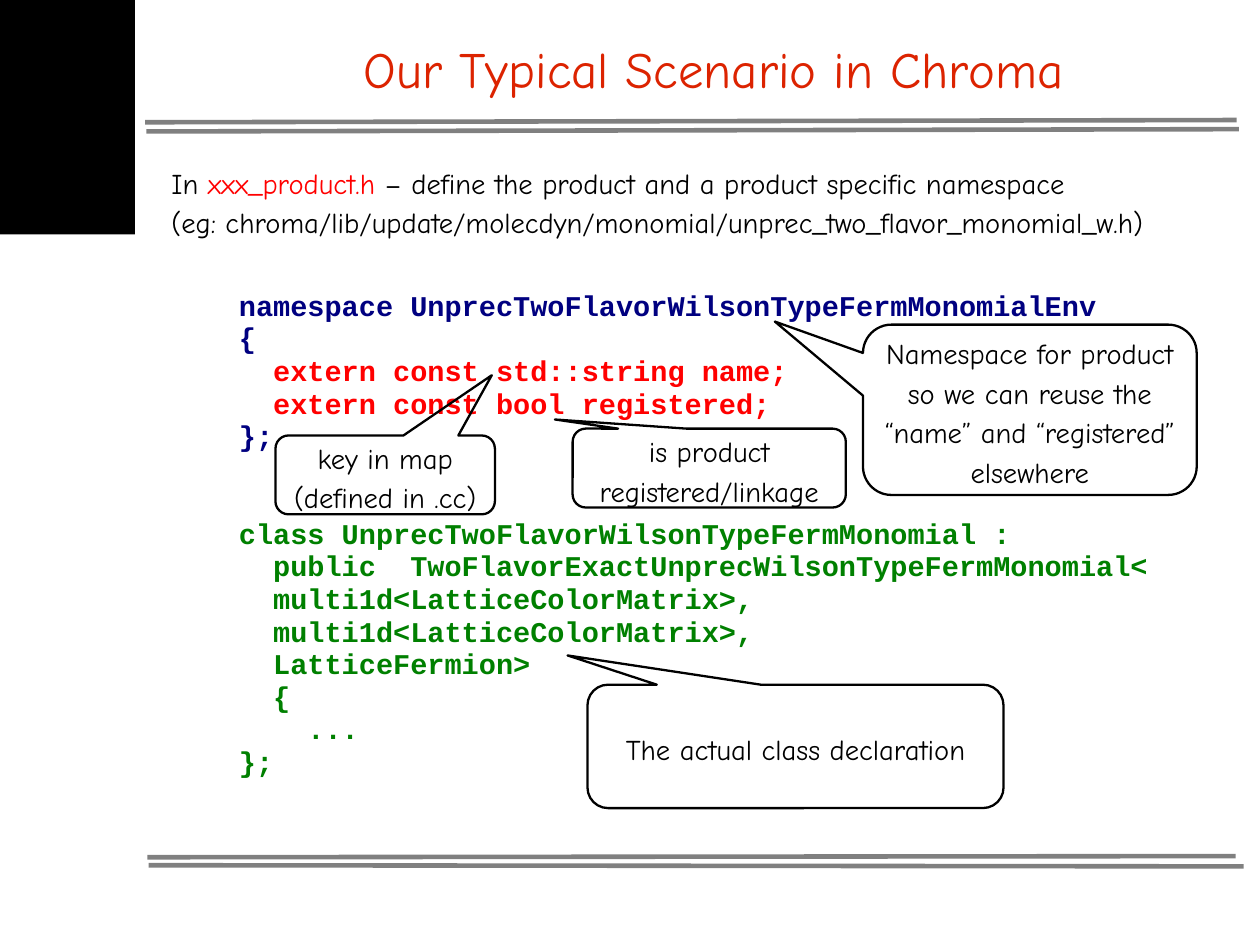
from lxml import etree
from pptx import Presentation
from pptx import util as u
from pptx.dml.color import RGBColor
from pptx.enum import shapes, text
from pptx.oxml import ns

BLACK = RGBColor(0x00, 0x00, 0x00)
GRAY = RGBColor(0x80, 0x80, 0x80)
TITLE_RED = RGBColor(0xDC, 0x23, 0x00)
RED = RGBColor(0xFF, 0x00, 0x00)
NAVY = RGBColor(0x00, 0x00, 0x80)
GREEN = RGBColor(0x00, 0x80, 0x00)

COMIC, MONO = "Comic Neue", "Courier New"
CHAR_WIDTH = 0.15  # one 18 pt monospaced character
CM_PER_INCH = 2.54


class Deck:
    """Holds the shared style and the current slide."""
    body_size = 18
    comic_spacing, code_spacing = 1.16, 0.95
    insets = (0.11, 0.06)

    def __init__(self, prs):
        self.s = prs.slides.add_slide(prs.slide_layouts[6])

    def rule(self, x1, y1, x2, y2):
        line = self.s.shapes.add_connector(
            shapes.MSO_CONNECTOR.STRAIGHT, *map(u.Inches, (x1, y1, x2, y2)))
        line.line.color.rgb = GRAY
        line.line.width = u.Pt(2.89)
        etree.SubElement(line._element.spPr, ns.qn("a:effectLst"))

    def block(self, x, y, w, h, color):
        sp = self.s.shapes.add_shape(
            shapes.MSO_SHAPE.RECTANGLE, *map(u.Inches, (x, y, w, h)))
        sp.shadow.inherit = False
        sp.fill.solid()
        sp.fill.fore_color.rgb = color
        sp.line.fill.background()

    def frame(self, sp, insets, anchor, wrap=True):
        tf = sp.text_frame
        tf.word_wrap = wrap
        tf.vertical_anchor = anchor
        tf.margin_left = tf.margin_right = u.Inches(insets[0])
        tf.margin_top = tf.margin_bottom = u.Inches(insets[1])
        return tf

    def textbox(self, x, y, w, h, insets=insets,
                anchor=text.MSO_ANCHOR.TOP):
        sp = self.s.shapes.add_textbox(*map(u.Inches, (x, y, w, h)))
        return self.frame(sp, insets, anchor)

    def paragraph(self, tf, runs, font=COMIC, size=body_size, bold=False,
                  spacing=comic_spacing, align=text.PP_ALIGN.LEFT):
        p = tf.paragraphs[0]
        if p.runs:
            p = tf.add_paragraph()
        p.alignment = align
        p.line_spacing = spacing
        for words, color in runs:
            r = p.add_run()
            r.text = words
            r.font.name = font
            r.font.size = u.Pt(size)
            r.font.bold = bold
            r.font.color.rgb = color
        return p

    def code(self, tf, depth, words, color, gap=0):
        p = self.paragraph(tf, [(words, color)], MONO, bold=True,
                           spacing=self.code_spacing)
        p.space_before = u.Pt(gap)
        pPr = p._p.get_or_add_pPr()
        pPr.set("marL", str(u.Inches(2 * depth * CHAR_WIDTH)))
        pPr.set("indent", "0")

    def callout(self, x, y, w, h, tip, lines):
        sp = self.s.shapes.add_shape(
            shapes.MSO_SHAPE.ROUNDED_RECTANGULAR_CALLOUT,
            *map(u.Inches, (x, y, w, h)))
        sp.shadow.inherit = False
        sp.fill.background()
        sp.line.color.rgb = BLACK
        sp.line.width = u.Pt(1.45)
        for i, value in enumerate((*tip, 0.167)):
            sp.adjustments[i] = value
        tf = self.frame(sp, self.insets, text.MSO_ANCHOR.MIDDLE, wrap=False)
        for words in lines:
            self.paragraph(tf, [(words, BLACK)], align=text.PP_ALIGN.CENTER)


def main():
    # Slide of 28 by 21 cm
    prs = Presentation()
    prs.slide_width = u.Inches(28 / CM_PER_INCH)
    prs.slide_height = u.Inches(21 / CM_PER_INCH)
    deck = Deck(prs)

    # Double rules and corner block
    for ends in ((1.27, 1.07, 10.82, 1.05), (1.28, 1.15, 10.84, 1.13),
                 (1.29, 7.5, 10.81, 7.49), (1.3, 7.57, 10.88, 7.58)):
        deck.rule(*ends)
    deck.block(0, 0, 1.18, 2.05, BLACK)

    # Title
    tf = deck.textbox(1.57, 0.11, 9.35, 0.88, (0, 0), text.MSO_ANCHOR.MIDDLE)
    deck.paragraph(tf, [("Our Typical Scenario in Chroma", TITLE_RED)],
                   size=32, align=text.PP_ALIGN.CENTER)

    # Introduction
    tf = deck.textbox(1.39, 1.34, 9.51, 0.81)
    deck.paragraph(tf, [
        ("In ", BLACK), ("xxx_product.h ", RED),
        ("– define the product and a product specific namespace", BLACK)])
    deck.paragraph(tf, [(
        "(eg: chroma/lib/update/molecdyn/monomial/"
        "unprec_two_flavor_monomial_w.h)", BLACK)])

    # Code listing: nesting depth, text, colour
    tf = deck.textbox(1.68, 2.48, 8.91, 4.68)
    for depth, words, color in (
            (1, "namespace UnprecTwoFlavorWilsonTypeFermMonomialEnv", NAVY),
            (1, "{", NAVY),
            (2, "extern const std::string name;", RED),
            (2, "extern const bool registered;", RED),
            (1, "};", NAVY)):
        deck.code(tf, depth, words, color)
    deck.code(tf, 1, "class UnprecTwoFlavorWilsonTypeFermMonomial :", GREEN,
              gap=41)
    for depth, words in (
            (2, "public  TwoFlavorExactUnprecWilsonTypeFermMonomial<"),
            (2, "multi1d<LatticeColorMatrix>,"),
            (2, "multi1d<LatticeColorMatrix>,"),
            (2, "LatticeFermion>"),
            (2, "{"),
            (3, "..."),
            (1, "};")):
        deck.code(tf, depth, words, GREEN)

    # Callouts
    deck.callout(7.55, 2.84, 2.92, 1.49, (-0.764, -0.518),
                 ("Namespace for product", "so we can reuse the",
                  "“name” and “registered”", "elsewhere"))
    deck.callout(5.14, 5.99, 3.64, 1.08, (-0.548, -0.737),
                 ("The actual class declaration",))
    deck.callout(2.41, 3.81, 1.92, 0.69, (0.486, -1.264),
                 ("key in map", "(defined in .cc)"))
    deck.callout(5.01, 3.75, 2.39, 0.69, (-0.565, -0.616),
                 ("is product", "registered/linkage"))

    prs.save("out.pptx")


if __name__ == "__main__":
    main()
